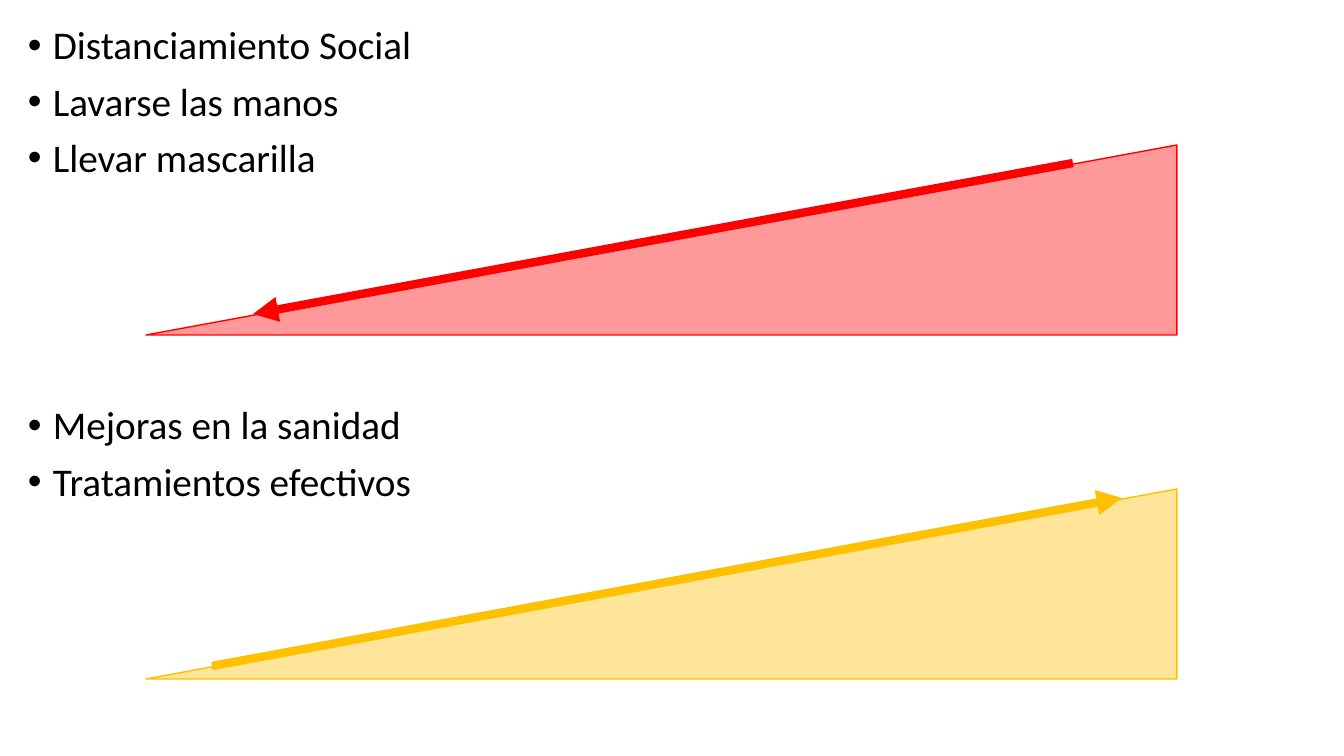
from lxml.etree import SubElement
from pptx import Presentation
from pptx.dml.color import RGBColor
from pptx.enum.shapes import MSO_CONNECTOR as CONN, MSO_SHAPE as SHAPE
from pptx.enum.text import MSO_ANCHOR as ANCHOR, PP_ALIGN as ALIGN
from pptx.oxml.ns import qn
from pptx.util import Emu, Pt

SCALE = 914400 / 100.8


def px(n):
    return Emu(round(n * SCALE))


def rgb(color):
    return RGBColor.from_string(color)


class Deck:
    """Slide style and the drawing methods for the current slide."""

    font, size, ink = "Calibri", 28, "000000"
    indent = 25

    def __init__(self, width, height):
        self.prs = Presentation()
        self.prs.slide_width, self.prs.slide_height = px(width), px(height)
        self.s = self.prs.slides.add_slide(self.prs.slide_layouts[6])

    def bullets(self, x, y, w, h, items):
        tf = self.s.shapes.add_textbox(px(x), px(y), px(w), px(h)).text_frame
        tf.word_wrap = True
        tf.vertical_anchor = ANCHOR.TOP
        for i, item in enumerate(items):
            p = tf.add_paragraph() if i else tf.paragraphs[0]
            p.alignment = ALIGN.LEFT
            p.line_spacing = 0.9
            p.space_before = Pt(10 if i else 0)
            pPr = p._p.get_or_add_pPr()
            pPr.set("marL", str(px(self.indent)))
            pPr.set("indent", str(-px(self.indent)))
            SubElement(pPr, qn("a:buFont")).set("typeface", "Arial")
            SubElement(pPr, qn("a:buChar")).set("char", "•")
            r = p.add_run()
            r.text = item
            r.font.name, r.font.size = self.font, Pt(self.size)
            r.font.color.rgb = rgb(self.ink)

    def wedge(self, x, y, w, h, color):
        sp = self.s.shapes.add_shape(
            SHAPE.RIGHT_TRIANGLE, px(x), px(y), px(w), px(h))
        sp.shadow.inherit = False
        sp._element.spPr.xfrm.set("flipH", "1")
        sp.fill.solid()
        sp.fill.fore_color.rgb = rgb(color)
        tint = sp._element.spPr.find(qn("a:solidFill"))[0]
        SubElement(tint, qn("a:alpha")).set("val", "40000")
        sp.line.color.rgb = rgb(color)
        sp.line.width = Pt(1)

    def arrow(self, start, end, color):
        points = [px(n) for n in (*start, *end)]
        c = self.s.shapes.add_connector(CONN.STRAIGHT, *points)
        c.line.color.rgb = rgb(color)
        c.line.width = Pt(6)
        SubElement(c.line._get_or_add_ln(), qn("a:tailEnd")).set(
            "type", "triangle")
        SubElement(c._element.spPr, qn("a:effectLst"))


def main():
    deck = Deck(1344, 756)
    bands = [
        (21, ["Distanciamiento Social", "Lavarse las manos",
              "Llevar mascarilla"],
         145, "FF0000", (1073, 163), (253, 314)),
        (401, ["Mejoras en la sanidad", "Tratamientos efectivos"],
         489, "FFC000", (212, 666), (1122, 498)),
    ]
    for text_top, items, wedge_top, color, start, end in bands:
        deck.bullets(18, text_top, 1159, 175, items)
        deck.wedge(146, wedge_top, 1031, 190, color)
        deck.arrow(start, end, color)
    deck.prs.save("out.pptx")


if __name__ == "__main__":
    main()
